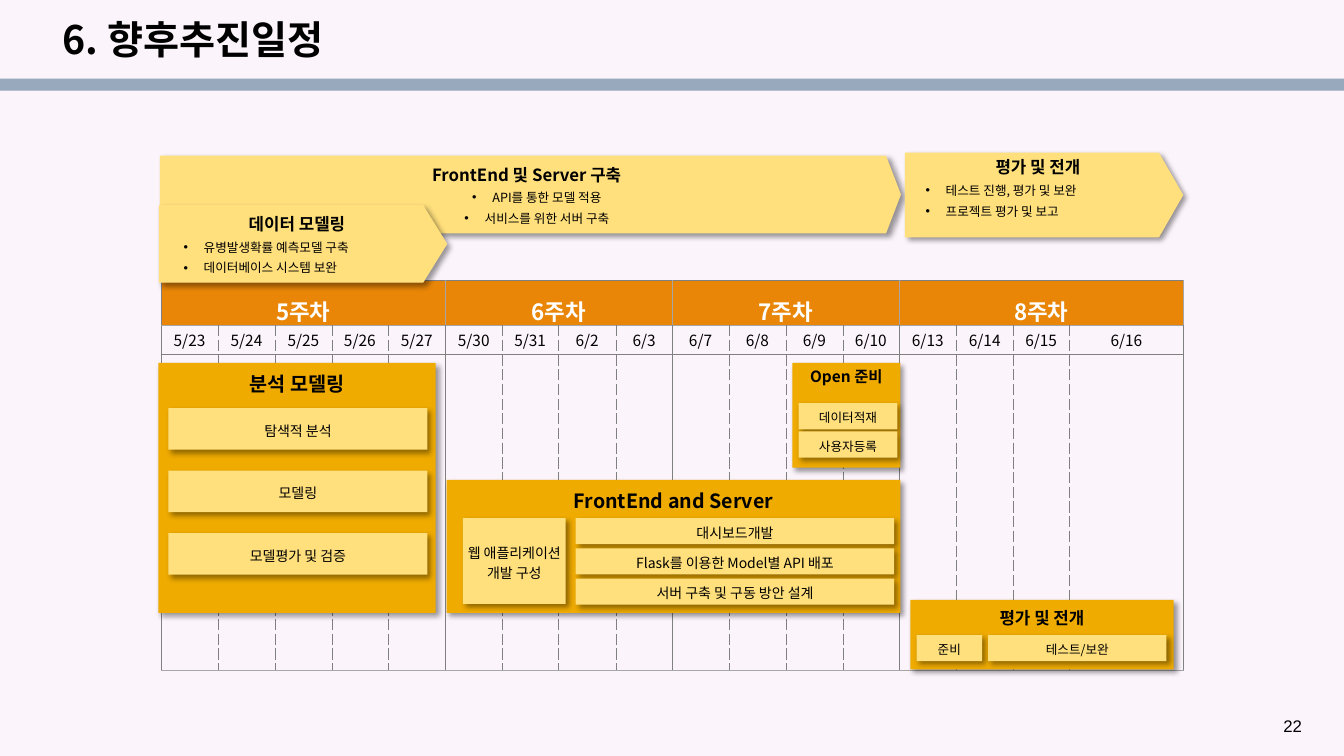
import pptx
import pptx.dml.color
import pptx.enum.shapes
import pptx.enum.text
import pptx.oxml
import pptx.oxml.ns
import pptx.util

PX = 9144
FONT = "Noto Sans CJK KR"
COLORS = {
    "background": "FBF4FB",
    "bar": "98A8BD",
    "week": "E98607",
    "panel": "EFAB00",
    "task": "FFE07D",
    "black": "000000",
    "white": "FFFFFF",
    "edge": "808080",
    "hairline": "A6A6A6",
}
SHAPE = pptx.enum.shapes.MSO_SHAPE
ALIGN = pptx.enum.text.PP_ALIGN
ANCHOR = pptx.enum.text.MSO_ANCHOR
qn = pptx.oxml.ns.qn

WEEKS = {
    "5주차": ["5/23", "5/24", "5/25", "5/26", "5/27"],
    "6주차": ["5/30", "5/31", "6/2", "6/3"],
    "7주차": ["6/7", "6/8", "6/9", "6/10"],
    "8주차": ["6/13", "6/14", "6/15", "6/16"],
}
PANELS = [
    (443, 476, 450, 132, "FrontEnd and Server", 14, 1.2),
    (903, 595, 261, 69, "평가 및 전개", 12, 1.2),
    (157, 360, 275, 248, "분석 모델링", 14, 1.2),
    (786, 360, 107, 104, "Open 준비", 11, 1.0),
]
SINGLE_TASKS = [
    (909, 630, 65, 26, "준비", 9),
    (980, 630, 177, 26, "테스트/보완", 9),
    (459, 514, 102, 85, "웹 애플리케이션 개발 구성", 10),
]
TASK_STACKS = [
    (571, 514, 316, 26, 30, 10, ["대시보드개발", "Flask를 이용한 Model별 API 배포", "서버 구축 및 구동 방안 설계"]),
    (167, 405, 257, 41, 62, 10, ["탐색적 분석", "모델링", "모델평가 및 검증"]),
    (792, 400, 98, 26, 28, 9, ["데이터적재", "사용자등록"]),
]
PHASES = [
    (159, 155, 734, 76, 0.191, 4, ALIGN.CENTER, "FrontEnd 및 Server 구축",
     ["API를 통한 모델 적용", "서비스를 위한 서버 구축"]),
    (898, 152, 275, 83, 0.287, 0, ALIGN.LEFT, "평가 및 전개",
     ["테스트 진행, 평가 및 보완", "프로젝트 평가 및 보고"]),
    (158, 204, 285, 76, 0.31, 4, ALIGN.LEFT, "데이터 모델링",
     ["유병발생확률 예측모델 구축", "데이터베이스 시스템 보완"]),
]


def rgb(name):
    return pptx.dml.color.RGBColor.from_string(COLORS[name])


def assign(obj, **values):
    for key, value in values.items():
        setattr(obj, key, value)


def insets(x, y):
    return dict(margin_left=x * PX, margin_right=x * PX, margin_top=y * PX, margin_bottom=y * PX)


def add_xml(parent, tag, **attrs):
    child = pptx.oxml.parse_xml(f'<a:{tag} {pptx.oxml.ns.nsdecls("a")}/>')
    for key, value in attrs.items():
        child.set(key, str(value))
    parent.append(child)
    return child


class Deck:
    def __init__(self, width, height):
        self.prs = pptx.Presentation()
        assign(self.prs, slide_width=width * PX, slide_height=height * PX)
        self.s = self.prs.slides.add_slide(self.prs.slide_layouts[5])
        self.s.background.fill.solid()
        self.s.background.fill.fore_color.rgb = rgb("background")

    def text(self, p, text, size, bold=False, color="black", font=FONT, align=ALIGN.CENTER, spacing=1.0):
        assign(p, alignment=align, line_spacing=spacing)
        r = p.add_run()
        r.text = text
        assign(r.font, size=pptx.util.Pt(size), bold=bold, name=font)
        r.font.color.rgb = rgb(color)
        add_xml(r._r.get_or_add_rPr(), "ea", typeface=font)

    def title(self, x, y, w, h, text):
        sp = self.s.shapes.title
        assign(sp, left=x * PX, top=y * PX, width=w * PX, height=h * PX)
        assign(sp.text_frame, word_wrap=True, vertical_anchor=ANCHOR.MIDDLE,
               auto_size=pptx.enum.text.MSO_AUTO_SIZE.NONE, **insets(10, 5))
        self.text(sp.text_frame.paragraphs[0], text, 28, True, align=ALIGN.LEFT, spacing=0.9)

    def label(self, x, y, w, h, text):
        tf = self.s.shapes.add_textbox(x * PX, y * PX, w * PX, h * PX).text_frame
        assign(tf, word_wrap=True, **insets(10, 5))
        self.text(tf.paragraphs[0], text, 12, font="Arial", align=ALIGN.LEFT)

    def shape(self, kind, x, y, w, h, color, outline=False, shadow=True, inset=4, anchor=ANCHOR.TOP):
        sp = self.s.shapes.add_shape(kind, x * PX, y * PX, w * PX, h * PX)
        sp.fill.solid()
        sp.fill.fore_color.rgb = rgb(color)
        if outline:
            sp.line.color.rgb = rgb(color)
            sp.line.width = pptx.util.Pt(0.75)
        else:
            sp.line.fill.background()
        sp.shadow.inherit = False
        if shadow:
            effects = sp._element.spPr.find(qn("a:effectLst"))
            outer = add_xml(effects, "outerShdw", blurRad=pptx.util.Pt(4), dist=pptx.util.Pt(3),
                            dir=45 * 60000, algn="tl", rotWithShape=0)
            add_xml(add_xml(outer, "srgbClr", val=COLORS["black"]), "alpha", val=40000)
        assign(sp.text_frame, word_wrap=True, vertical_anchor=anchor, **insets(inset, inset))
        return sp

    def panel(self, x, y, w, h, text, size, spacing):
        sp = self.shape(SHAPE.RECTANGLE, x, y, w, h, "panel")
        self.text(sp.text_frame.paragraphs[0], text, size, True, spacing=spacing)

    def task(self, x, y, w, h, text, size):
        sp = self.shape(SHAPE.RECTANGLE, x, y, w, h, "task", anchor=ANCHOR.MIDDLE)
        self.text(sp.text_frame.paragraphs[0], text, size, spacing=1.2)

    def phase(self, x, y, w, h, point, inset, align, heading, items):
        sp = self.shape(SHAPE.PENTAGON, x, y, w, h, "task", outline=True, inset=inset)
        sp.adjustments[0] = point
        tf = sp.text_frame
        self.text(tf.paragraphs[0], heading, 12, True, spacing=1.2)
        for item in items:
            p = tf.add_paragraph()
            pPr = p._p.get_or_add_pPr()
            pPr.set("marL", str(40 * PX))
            pPr.set("indent", str(-20 * PX))
            add_xml(pPr, "buFont", typeface="Arial")
            add_xml(pPr, "buChar", char="•")
            p.space_before = pptx.util.Pt(1.8)
            self.text(p, item, 9, align=align, spacing=1.2)

    def borders(self, cell, **sides):
        tcPr = cell._tc.get_or_add_tcPr()
        for side in "LRTB":
            color, width, dash = sides[side]
            ln = add_xml(tcPr, "ln" + side, w=pptx.util.Pt(width))
            add_xml(add_xml(ln, "solidFill"), "srgbClr", val=COLORS[color])
            add_xml(ln, "prstDash", val=dash)

    def calendar(self, x, y, w, rows, weeks):
        count = sum(len(days) for days in weeks.values())
        edges = [round(w * i / (count + 1)) for i in range(count)] + [w]
        table = self.s.shapes.add_table(len(rows), count, x * PX, y * PX, w * PX, sum(rows) * PX).table
        assign(table, first_row=False, horz_banding=False)
        for row, height in zip(table.rows, rows):
            row.height = height * PX
        for column, left, right in zip(table.columns, edges, edges[1:]):
            column.width = (right - left) * PX
        solid, dashed = ("edge", 0.5, "solid"), ("edge", 0.25, "dash")
        hair, heavy = ("hairline", 0.25, "solid"), ("edge", 1.5, "solid")
        first = 0
        for week, days in weeks.items():
            last = first + len(days) - 1
            for i, day in enumerate(days, first):
                head, date, body = (table.cell(row, i) for row in range(3))
                left = solid if i == first else dashed
                right = solid if i == last else dashed
                self.borders(head, L=hair if first else solid, R=hair, T=solid, B=hair)
                self.borders(date, L=left, R=right, T=hair, B=heavy)
                self.borders(body, L=left, R=right, T=heavy, B=hair)
                head.fill.solid()
                head.fill.fore_color.rgb = rgb("week")
                date.fill.background()
                body.fill.background()
                assign(date, vertical_anchor=ANCHOR.MIDDLE, **insets(0, 0))
                self.text(date.text_frame.paragraphs[0], day, 11)
            head = table.cell(0, first)
            head.merge(table.cell(0, last))
            assign(head, vertical_anchor=ANCHOR.MIDDLE, **insets(9, 5))
            self.text(head.text_frame.paragraphs[0], week, 16, True, "white", spacing=1.3)
            first = last + 1


def main():
    deck = Deck(1333, 750)
    deck.shape(SHAPE.RECTANGLE, 0, 78, 1333, 12, "bar", shadow=False)
    deck.label(1263, 705, 52, 27, "22")
    deck.title(52, 15, 1150, 53, "6. 향후추진일정")
    deck.calendar(160, 278, 1014, [44, 29, 313], WEEKS)
    for panel in PANELS:
        deck.panel(*panel)
    for task in SINGLE_TASKS:
        deck.task(*task)
    for x, y, w, h, pitch, size, names in TASK_STACKS:
        for i, name in enumerate(names):
            deck.task(x, y + i * pitch, w, h, name, size)
    for phase in PHASES:
        deck.phase(*phase)
    deck.prs.save("out.pptx")


if __name__ == "__main__":
    main()
